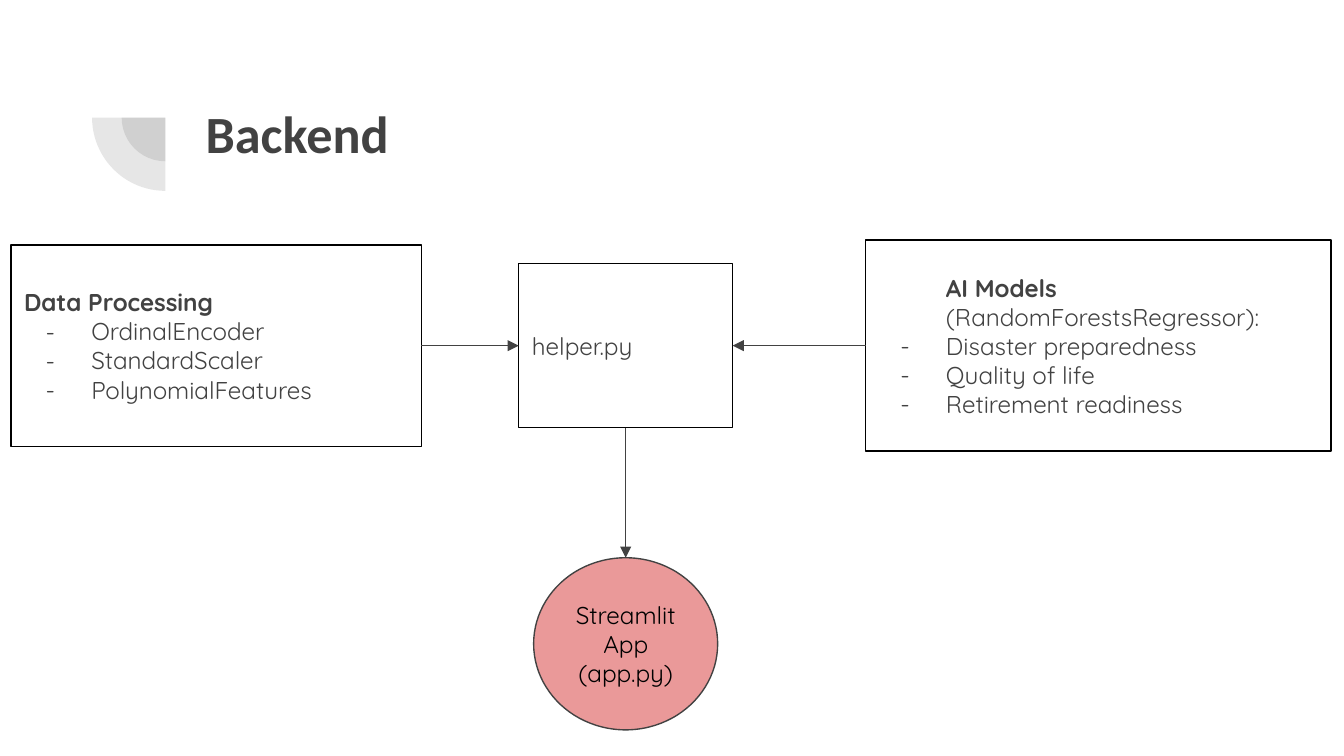
from dataclasses import dataclass

from lxml import etree
from pptx import Presentation
from pptx.dml.color import RGBColor
from pptx.enum import shapes, text
from pptx.oxml import ns
from pptx.util import Pt


@dataclass(frozen=True)
class Theme:
    ink: RGBColor = RGBColor(0x42, 0x42, 0x42)
    black: RGBColor = RGBColor(0, 0, 0)
    app_fill: RGBColor = RGBColor(0xEA, 0x99, 0x99)
    title_font: str = "Calibri"
    body_font: str = "Quicksand"
    title_size: float = 28
    body_size: float = 13
    line_width: float = 0.75
    inset: float = 7.2


THEME = Theme()
ROW_CENTER = 185.2
COLUMN_CENTER = 335.2
# Connection sites, counted anticlockwise from the top
TOP, LEFT, BOTTOM, RIGHT = range(4)


def add_xml(parent, tag, **attributes):
    return etree.SubElement(parent, ns.qn(tag), attributes)


def set_frame(shape, anchor):
    frame = shape.text_frame
    frame.word_wrap = True
    frame.auto_size = text.MSO_AUTO_SIZE.NONE
    frame.vertical_anchor = anchor
    frame.margin_left = frame.margin_right = Pt(THEME.inset)
    frame.margin_top = frame.margin_bottom = Pt(THEME.inset)
    return frame


def add_run(paragraph, words, size, font, color, bold=False):
    run = paragraph.add_run()
    run.text = words
    run.font.size = Pt(size)
    run.font.name = font
    run.font.color.rgb = color
    run.font.bold = bold


def add_title(slide, words):
    title = slide.shapes.title
    title.left, title.top, title.width, title.height = Pt(103), Pt(46.8), Pt(553.7), Pt(78.5)
    paragraph = set_frame(title, text.MSO_ANCHOR.TOP).paragraphs[0]
    paragraph.alignment = text.PP_ALIGN.LEFT
    add_run(paragraph, words, THEME.title_size, THEME.title_font, THEME.ink, bold=True)


def add_quarter(slide, center_x, center_y, diameter):
    """Add a translucent quarter disc that opens to the lower left."""
    pie = slide.shapes.add_shape(
        shapes.MSO_SHAPE.PIE, Pt(center_x - diameter / 2), Pt(center_y - diameter / 2),
        Pt(diameter), Pt(diameter))
    pie.adjustments[0], pie.adjustments[1] = 108, 162
    pie.rotation = 270
    pie.shadow.inherit = False
    pie.line.fill.background()
    pie.fill.solid()
    pie.fill.fore_color.rgb = THEME.ink
    color = pie._element.spPr.find(".//" + ns.qn("a:srgbClr"))
    add_xml(color, "a:alpha", val="13000")


def add_node(slide, kind, left, center_y, width, height, line_color, fill=None):
    node = slide.shapes.add_shape(
        kind, Pt(left), Pt(center_y - height / 2), Pt(width), Pt(height))
    node.shadow.inherit = False
    node.line.color.rgb = line_color
    node.line.width = Pt(THEME.line_width)
    if fill is None:
        node.fill.background()
    else:
        node.fill.solid()
        node.fill.fore_color.rgb = fill
    set_frame(node, text.MSO_ANCHOR.MIDDLE)
    return node


def set_indent(paragraph, left, first):
    properties = paragraph._p.get_or_add_pPr()
    properties.set("marL", str(Pt(left)))
    properties.set("indent", str(Pt(first)))
    return properties


def add_bullet(paragraph):
    properties = set_indent(paragraph, 36, -24.5)
    add_xml(add_xml(properties, "a:buClr"), "a:srgbClr", val=str(THEME.ink))
    add_xml(properties, "a:buFont", typeface=THEME.body_font)
    add_xml(properties, "a:buChar", char="-")


def write_lines(node, lines, color=THEME.ink, alignment=text.PP_ALIGN.LEFT):
    """Write one paragraph per line; a line is a list of (words, bold) runs."""
    frame = node.text_frame
    for index, runs in enumerate(lines):
        paragraph = frame.add_paragraph() if index else frame.paragraphs[0]
        paragraph.alignment = alignment
        for words, bold in runs:
            add_run(paragraph, words, THEME.body_size, THEME.body_font, color, bold)
    return frame.paragraphs


def write_list(node, heading, items):
    paragraphs = write_lines(node, [heading] + [[(item, False)] for item in items])
    for paragraph in paragraphs[1:]:
        add_bullet(paragraph)
    return paragraphs[0]


def add_arrow(slide, source, source_site, target, target_site):
    arrow = slide.shapes.add_connector(shapes.MSO_CONNECTOR.STRAIGHT, 0, 0, 0, 0)
    arrow.begin_connect(source, source_site)
    arrow.end_connect(target, target_site)
    arrow.line.color.rgb = THEME.ink
    arrow.line.width = Pt(THEME.line_width)
    add_xml(arrow.line._get_or_add_ln(), "a:tailEnd", type="triangle")
    add_xml(arrow._element.spPr, "a:effectLst")


def main():
    presentation = Presentation()
    presentation.slide_width, presentation.slide_height = Pt(720), Pt(405)
    slide = presentation.slides.add_slide(presentation.slide_layouts[5])

    # Corner ornament and title
    for diameter in (46.8, 78.5):
        add_quarter(slide, 88.6, 63, diameter)
    add_title(slide, "Backend")

    # Inputs on both sides of the helper module
    box = shapes.MSO_SHAPE.RECTANGLE
    processing = add_node(slide, box, 5.8, ROW_CENTER, 220, 108, THEME.black)
    write_list(processing, [("Data Processing", True)],
               ["OrdinalEncoder", "StandardScaler", "PolynomialFeatures"])

    models = add_node(slide, box, 463.7, ROW_CENTER, 249.3, 113, THEME.black)
    heading = write_list(models, [("AI Models ", True), ("(RandomForestsRegressor):", False)],
                         ["Disaster preparedness", "Quality of life", "Retirement readiness"])
    set_indent(heading, 36, 0)

    helper = add_node(slide, box, COLUMN_CENTER - 57.3, ROW_CENTER, 114.6, 88, THEME.black)
    write_lines(helper, [[("helper.py", False)]])

    # App below the helper module
    app = add_node(slide, shapes.MSO_SHAPE.OVAL, COLUMN_CENTER - 49.3, 344.9, 98.6, 92.2,
                   THEME.ink, THEME.app_fill)
    write_lines(app, [[(words, False)] for words in ("Streamlit", "App", "(app.py)")],
                THEME.black, text.PP_ALIGN.CENTER)

    # Flow
    add_arrow(slide, processing, RIGHT, helper, LEFT)
    add_arrow(slide, models, LEFT, helper, RIGHT)
    add_arrow(slide, helper, BOTTOM, app, TOP)

    presentation.save("out.pptx")


if __name__ == "__main__":
    main()
